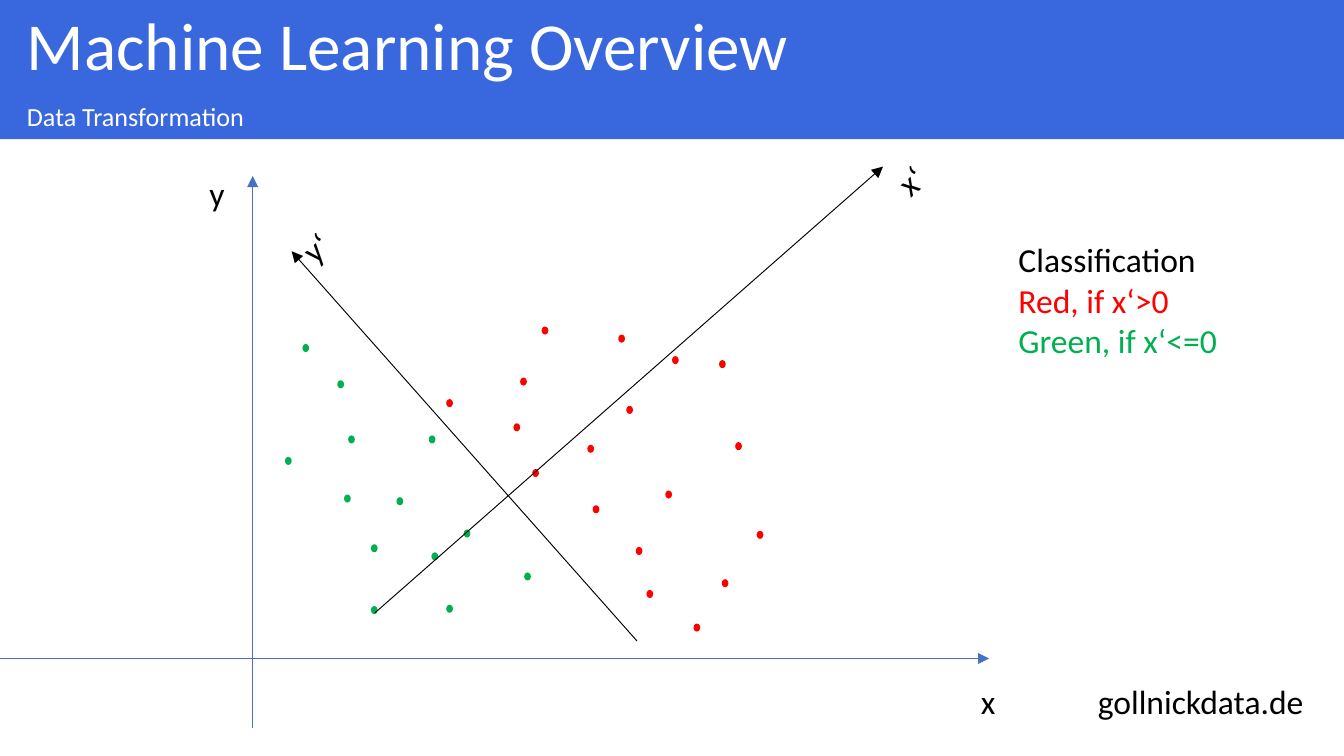
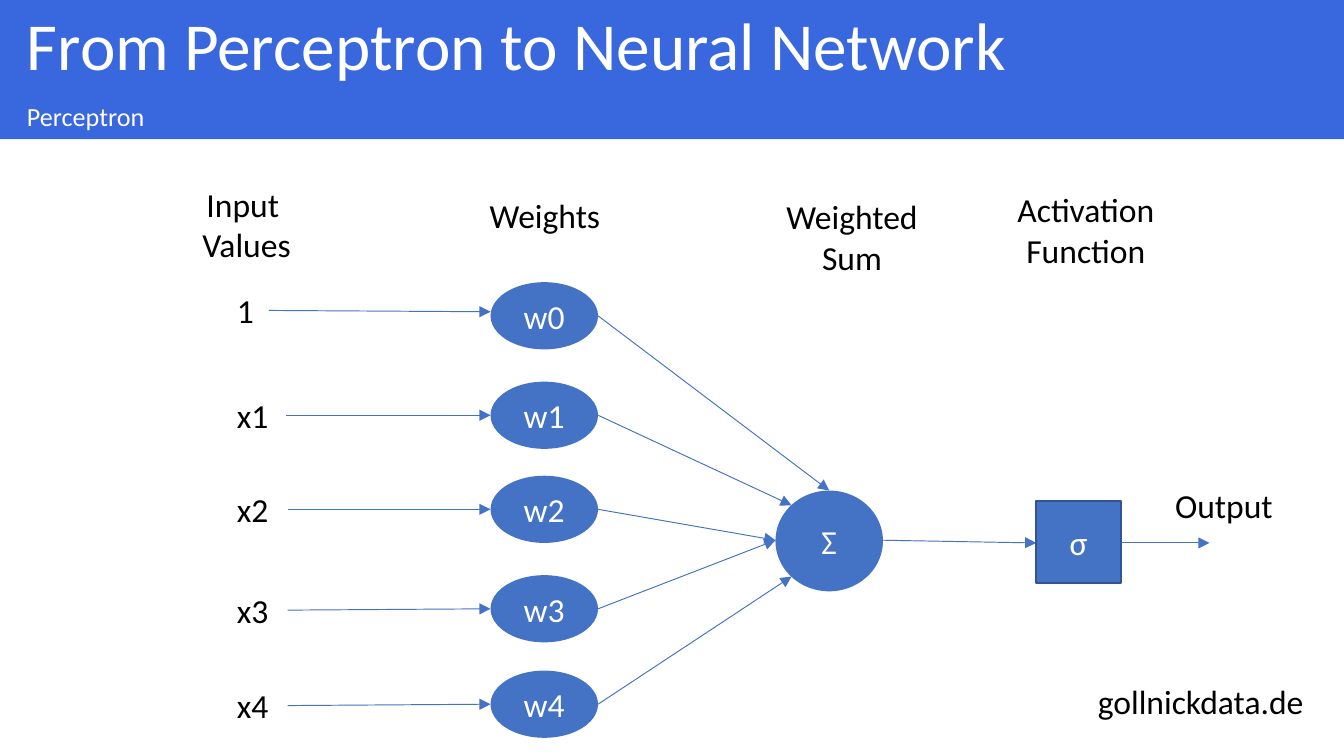
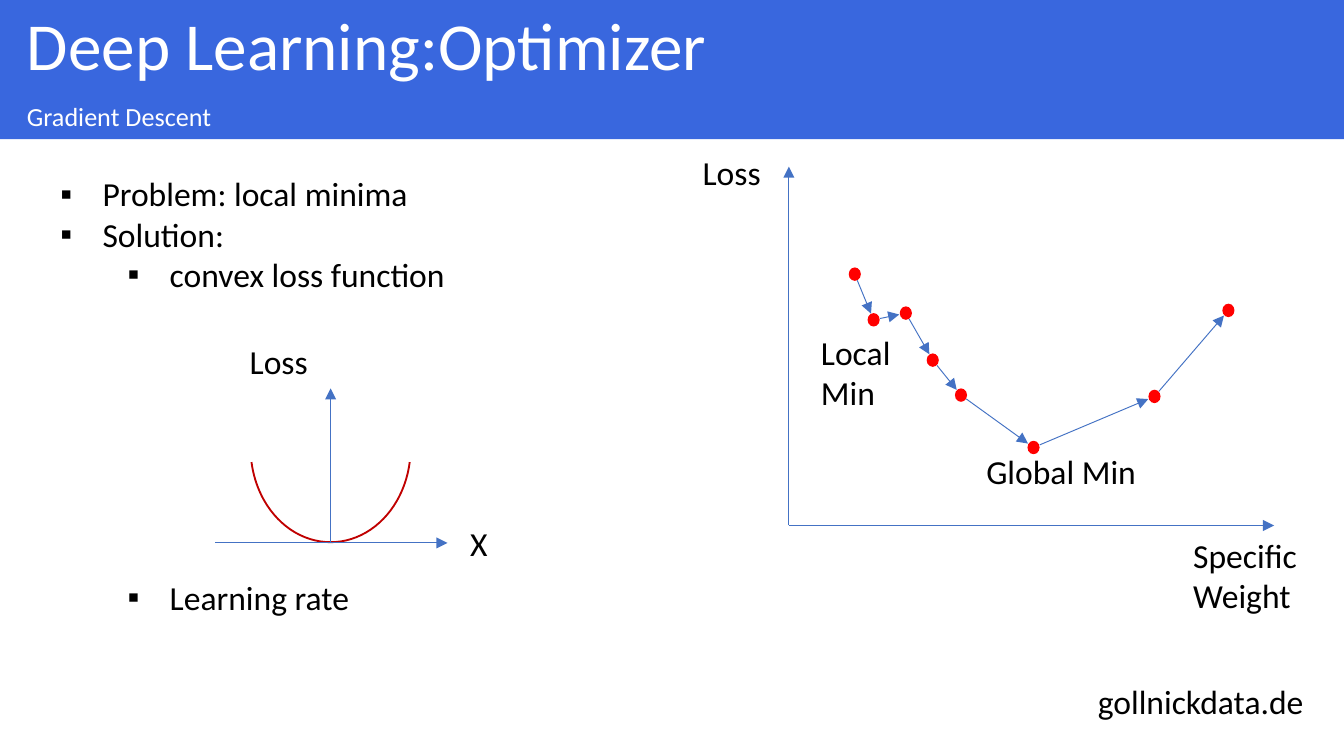
import math

import lxml.etree
import pptx
import pptx.dml.color
import pptx.enum.shapes
import pptx.enum.text
import pptx.oxml.ns
import pptx.util

SHAPE = pptx.enum.shapes.MSO_SHAPE
ALIGN = pptx.enum.text.PP_ALIGN
ANCHOR = pptx.enum.text.MSO_ANCHOR
FIT = pptx.enum.text.MSO_AUTO_SIZE
qn = pptx.oxml.ns.qn

CELL = pptx.util.Inches(0.1)
COLS, ROWS = 100, 56.25
BAND, BLUE, EDGE = "3967DE", "4472C4", "325491"
RED, GREEN, CURVE = "FF0000", "00B050", "C00000"
BLACK, WHITE = "000000", "FFFFFF"
BODY = {"name": "Calibri", "size": pptx.util.Pt(18)}
TITLE = {**BODY, "size": pptx.util.Pt(36)}
SUBTITLE = {**BODY, "size": pptx.util.Pt(14)}
BAND_FRAME = {
    "margin_left": 2 * CELL, "margin_right": CELL, "margin_top": CELL // 2,
    "margin_bottom": CELL // 2, "vertical_anchor": ANCHOR.MIDDLE,
    "word_wrap": True, "auto_size": FIT.NONE,
}
TEXT_FRAME = {"vertical_anchor": ANCHOR.TOP, "word_wrap": True, "auto_size": FIT.NONE}


def grid(*cells):
    return [round(c * CELL) for c in cells]


def rgb(color):
    return pptx.dml.color.RGBColor.from_string(color)


def apply(target, values):
    for name, value in values.items():
        setattr(target, name, value)


def paint(sp, fill=None, line=None):
    sp.shadow.inherit = False
    if fill:
        sp.fill.solid()
        sp.fill.fore_color.rgb = rgb(fill)
    else:
        sp.fill.background()
    if line:
        sp.line.color.rgb = rgb(line)
        sp.line.width = pptx.util.Pt(1)
    else:
        sp.line.fill.background()


def write(p, text, font, color, align=ALIGN.LEFT):
    r = p.add_run()
    r.text = text
    apply(r.font, font)
    r.font.color.rgb = rgb(color)
    p.alignment = align


def move(sp, x, y, w, h):
    apply(sp, dict(zip(("left", "top", "width", "height"), grid(x, y, w, h))))


def bullet(p, char=None, margin=0, hang=0):
    pPr = p._p.get_or_add_pPr()
    pPr.set("marL", str(round(margin * CELL)))
    pPr.set("indent", str(round(-hang * CELL)))
    mark = lxml.etree.SubElement(pPr, qn("a:buChar" if char else "a:buNone"))
    if char:
        mark.set("char", char)


def add_band(ph, y, h, text, font):
    move(ph, 0, y, COLS, h)
    ph.fill.solid()
    ph.fill.fore_color.rgb = rgb(BAND)
    apply(ph.text_frame, BAND_FRAME)
    p = ph.text_frame.paragraphs[0]
    bullet(p)
    apply(p, {"line_spacing": 0.9, "space_before": pptx.util.Pt(0)})
    write(p, text, font, WHITE)


def add_slide(prs, title, subtitle, layout=1):
    s = prs.slides.add_slide(prs.slide_layouts[layout])
    add_band(s.shapes.title, 0, 7.24, title, TITLE)
    add_band(s.placeholders[1], 7.2, 3.15, subtitle, SUBTITLE)
    return s


def add_list(ph, x, y, w, h, items):
    move(ph, x, y, w, h)
    tf = ph.text_frame
    apply(tf, TEXT_FRAME)
    for i, (level, text, gap) in enumerate(items):
        p = tf.add_paragraph() if i else tf.paragraphs[0]
        bullet(p, "▪", 3.13 + 5 * level, 3.13)
        apply(p, {"level": level, "space_before": pptx.util.Pt(gap)})
        write(p, text, BODY, BLACK)


def add_label(s, x, y, w, lines, align=ALIGN.LEFT, colors=(), rotation=0):
    sp = s.shapes.add_textbox(*grid(x, y, w, 0.9 + 3.1 * len(lines)))
    sp.rotation = rotation
    tf = sp.text_frame
    apply(tf, TEXT_FRAME)
    for i, text in enumerate(lines):
        p = tf.add_paragraph() if i else tf.paragraphs[0]
        write(p, text, BODY, colors[i] if colors else BLACK, align)
    return sp


def add_node(s, kind, x, y, w, h, text="", fill=BLUE, line=None):
    sp = s.shapes.add_shape(kind, *grid(x, y, w, h))
    paint(sp, fill, line)
    if text:
        sp.text_frame.vertical_anchor = ANCHOR.MIDDLE
        write(sp.text_frame.paragraphs[0], text, BODY, WHITE, ALIGN.CENTER)
    return sp


def add_dots(s, points, w, h, color):
    for x, y in points:
        add_node(s, SHAPE.OVAL, x, y, w, h, fill=color)


def add_arrow(s, start, end, color=BLUE):
    cx = s.shapes.add_connector(
        pptx.enum.shapes.MSO_CONNECTOR.STRAIGHT, *grid(*start, *end))
    cx.line.color.rgb = rgb(color)
    cx.line.width = pptx.util.Pt(0.5)
    ln = cx.line._get_or_add_ln()
    lxml.etree.SubElement(ln, qn("a:tailEnd")).set("type", "triangle")
    lxml.etree.SubElement(cx._element.spPr, qn("a:effectLst"))


def add_footer(prs, s):
    sp = add_label(s, 80.7, 50.2, 18.9, ["gollnickdata.de"])
    prs.slide_master.shapes.element.append(sp._element)


def build_transformation(s):
    green = [(25.1, 28.3), (21.2, 34), (31.9, 32.4), (25.9, 32.4), (22.5, 25.6),
             (32.1, 41.1), (33.2, 45), (27.6, 40.5), (39, 42.6), (25.6, 36.8),
             (27.6, 45.1), (29.5, 37), (34.5, 39.4)]
    red = [(38.7, 28.1), (39.6, 34.9), (53.5, 26.8), (54.7, 32.9), (46, 24.9),
           (50, 26.5), (47.3, 40.7), (51.6, 46.4), (38.2, 31.5), (46.6, 30.2),
           (43.7, 33.1), (40.3, 24.3), (44.1, 37.6), (56.3, 39.5), (49.5, 36.5),
           (48.1, 43.9), (53.7, 43.1), (33.2, 29.7)]
    add_arrow(s, (0, 49), (73.6, 49))
    add_arrow(s, (18.8, 54.2), (18.8, 13.1))
    add_label(s, 72, 50.2, 3.3, ["x"])
    add_label(s, 14.6, 12.4, 3.3, ["y"])
    add_dots(s, green, 0.5, 0.6, GREEN)
    add_dots(s, red, 0.5, 0.6, RED)
    add_arrow(s, (27.9, 45.6), (65.7, 12.4), BLACK)
    add_arrow(s, (47.4, 47.7), (21.7, 18.7), BLACK)
    add_label(s, 65.9, 11.4, 3.8, ["x‘"], rotation=319.2)
    add_label(s, 21.6, 16.4, 3.8, ["y‘"], rotation=319.2)
    add_label(s, 74.8, 17.3, 18.6,
              ["Classification", "Red, if x‘>0", "Green, if x‘<=0"],
              colors=(BLACK, RED, GREEN))


def build_perceptron(s):
    headings = [(13.6, 13.2, 9.5, ["Input ", "Values"]),
                (35, 14, 11.1, ["Weights"]),
                (57.1, 14.1, 12.6, ["Weighted", "Sum"]),
                (74.3, 13.6, 13, ["Activation", "Function"]),
                (86.2, 35.6, 10.3, ["Output "])]
    inputs = [("1", 20, 23.1, 23.5, (61.7, 36.5)),
              ("x1", 21.3, 30.9, 30.9, (58.9, 37.6)),
              ("x2", 21.4, 37.9, 37.9, (57.7, 40.2)),
              ("x3", 21.4, 45.4, 45.3, (57.7, 40.2)),
              ("x4", 21.4, 52.5, 52.4, (58.9, 42.9))]
    for x, y, w, lines in headings:
        add_label(s, x, y, w, lines, ALIGN.CENTER)
    for i, (name, x, input_y, y, target) in enumerate(inputs):
        add_label(s, 16.65, input_y - 2, 4.7, [name])
        add_arrow(s, (x, input_y), (36.5, min(y, input_y + 0.1)))
        add_node(s, SHAPE.OVAL, 36.5, y - 2.5, 8, 5, f"w{i}")
        add_arrow(s, (44.5, y), target)
    add_node(s, SHAPE.OVAL, 57.7, 36.5, 8, 7.5, "Σ")
    add_arrow(s, (65.7, 40.2), (77.1, 40.4))
    add_node(s, SHAPE.RECTANGLE, 77.1, 37.3, 6.3, 6.1, "σ", line=EDGE)
    add_arrow(s, (83.4, 40.4), (90, 40.4))


def build_descent(s):
    steps = [(63.6, 20.4), (65, 23.8), (67.4, 23.3), (69.4, 26.8),
             (71.5, 29.4), (76.9, 33.3), (85.9, 29.5), (91.4, 23.1)]
    radius = 0.5
    origin = (58.7, 39.1)
    add_list(s.placeholders[2], 3.5, 12.4, 36, 37.4,
             [(0, "Problem: local minima", 0), (0, "Solution:", 0),
              (1, "convex loss function", 0), (1, "Learning rate", 151.5)])
    add_arrow(s, origin, (58.7, 12.4))
    add_arrow(s, origin, (94.8, 39.1))
    add_dots(s, [(x - 0.45, y - radius) for x, y in steps], 0.9, 1, RED)
    for (x1, y1), (x2, y2) in zip(steps, steps[1:]):
        length = math.dist((x1, y1), (x2, y2))
        dx, dy = radius * (x2 - x1) / length, radius * (y2 - y1) / length
        add_arrow(s, (x1 + dx, y1 + dy), (x2 - dx, y2 - dy))
    add_label(s, 51.3, 10.8, 7.3, ["Loss"])
    add_label(s, 87.8, 39.3, 11.6, ["Specific", "Weight"])
    add_label(s, 72.4, 33.1, 14.1, ["Global Min"])
    add_label(s, 60.1, 24.2, 8.8, ["Local", "Min"])

    bowl = add_node(s, SHAPE.ARC, 18.65, 26.35, 11.9, 14, fill=None, line=CURVE)
    for i, degrees in enumerate((10, 170)):
        bowl.adjustments[i] = degrees * 0.6
    add_arrow(s, (24.6, 40.4), (24.6, 28.9))
    add_arrow(s, (16, 40.4), (33.3, 40.4))
    add_label(s, 17.6, 24.9, 7.3, ["Loss"])
    add_label(s, 34, 38.4, 3.7, ["X"])


def main():
    prs = pptx.Presentation()
    prs.slide_width, prs.slide_height = grid(COLS, ROWS)
    s = add_slide(prs, "Machine Learning Overview", "Data Transformation")
    add_footer(prs, s)
    build_transformation(s)
    build_perceptron(add_slide(prs, "From Perceptron to Neural Network", "Perceptron"))
    build_descent(add_slide(prs, "Deep Learning:Optimizer", "Gradient Descent", layout=3))
    prs.save("out.pptx")


if __name__ == "__main__":
    main()
